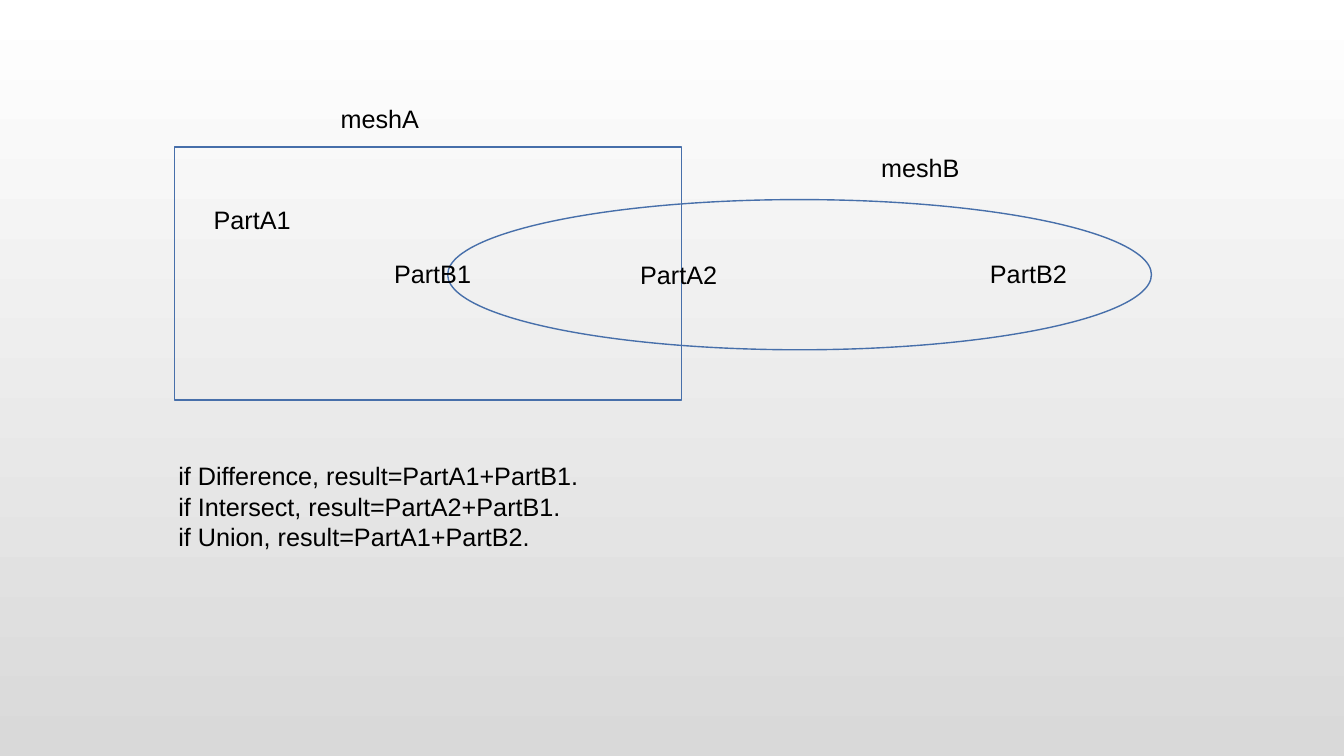
from dataclasses import dataclass

from pptx import Presentation
from pptx.dml.color import RGBColor
from pptx.enum.shapes import MSO_SHAPE
from pptx.enum.text import MSO_AUTO_SIZE
from pptx.slide import Slide
from pptx.util import Inches, Pt


@dataclass(frozen=True)
class Theme:
    font: str = "Arial"
    text_size: Pt = Pt(18)
    text: RGBColor = RGBColor(0x00, 0x00, 0x00)
    outline: RGBColor = RGBColor(0x47, 0x6F, 0xAA)
    outline_width: Pt = Pt(1)
    background_top: RGBColor = RGBColor(0xFF, 0xFF, 0xFF)
    background_bottom: RGBColor = RGBColor(0xD9, 0xD9, 0xD9)


@dataclass(frozen=True)
class Mesh:
    preset: MSO_SHAPE
    left: float
    top: float
    width: float
    height: float


@dataclass(frozen=True)
class Label:
    lines: tuple[str, ...]
    left: float
    top: float
    width: float = 1.25
    height: float = 0.4


THEME = Theme()

MESHES = (
    Mesh(MSO_SHAPE.RECTANGLE, 1.73, 1.46, 5.03, 2.51),
    Mesh(MSO_SHAPE.OVAL, 4.44, 1.98, 6.98, 1.49),
)

LABELS = (
    Label(("meshA",), 3.28, 0.98, width=4.44),
    Label(("meshB",), 8.64, 1.46, width=1.51),
    Label(("PartA1",), 2.02, 1.98),
    Label(("PartA2",), 6.25, 2.52),
    Label(("PartB1",), 3.81, 2.51),
    Label(("PartB2",), 9.72, 2.51),
    Label(
        (
            "if Difference, result=PartA1+PartB1.",
            "if Intersect, result=PartA2+PartB1.",
            "if Union, result=PartA1+PartB2.",
        ),
        1.67, 4.52, width=8.72, height=1.05,
    ),
)


def paint_background(slide: Slide) -> None:
    fill = slide.background.fill
    fill.gradient()
    fill.gradient_angle = 270  # counter-clockwise, so top to bottom
    colors = (THEME.background_top, THEME.background_bottom)
    for stop, color in zip(fill.gradient_stops, colors):
        stop.color.rgb = color


def draw_mesh(slide: Slide, mesh: Mesh) -> None:
    shape = slide.shapes.add_shape(
        mesh.preset, Inches(mesh.left), Inches(mesh.top),
        Inches(mesh.width), Inches(mesh.height))
    shape.shadow.inherit = False
    shape.fill.background()
    shape.line.color.rgb = THEME.outline
    shape.line.width = THEME.outline_width


def draw_label(slide: Slide, label: Label) -> None:
    frame = slide.shapes.add_textbox(
        Inches(label.left), Inches(label.top),
        Inches(label.width), Inches(label.height)).text_frame
    frame.word_wrap = True
    if len(label.lines) == 1:
        frame.auto_size = MSO_AUTO_SIZE.SHAPE_TO_FIT_TEXT
    frame.text = "\n".join(label.lines)
    for paragraph in frame.paragraphs:
        for run in paragraph.runs:
            run.font.name = THEME.font
            run.font.size = THEME.text_size
            run.font.color.rgb = THEME.text


# Slide
presentation = Presentation()
presentation.slide_width = Inches(13.33)
presentation.slide_height = Inches(7.5)
slide = presentation.slides.add_slide(presentation.slide_layouts[6])
paint_background(slide)

# Overlapping meshes
for mesh in MESHES:
    draw_mesh(slide, mesh)

# Mesh names, part names and boolean rules
for label in LABELS:
    draw_label(slide, label)

presentation.save("out.pptx")
